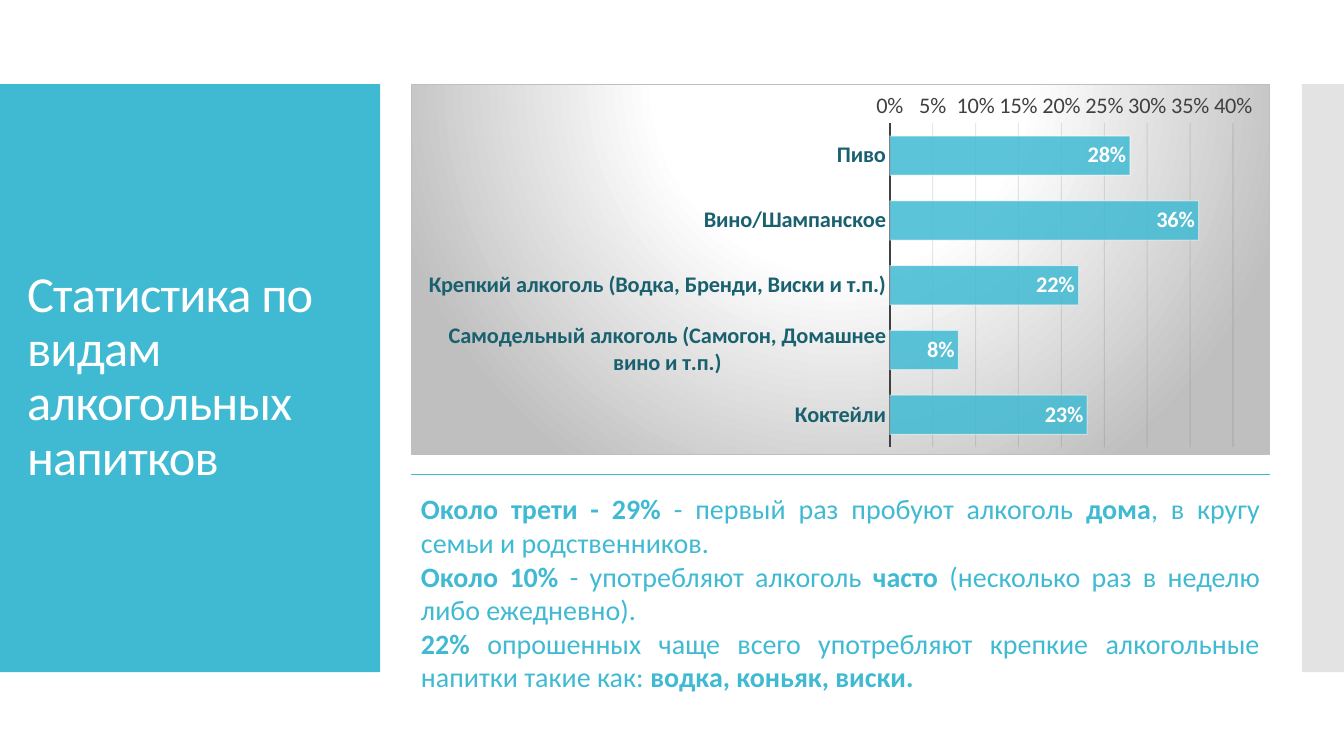
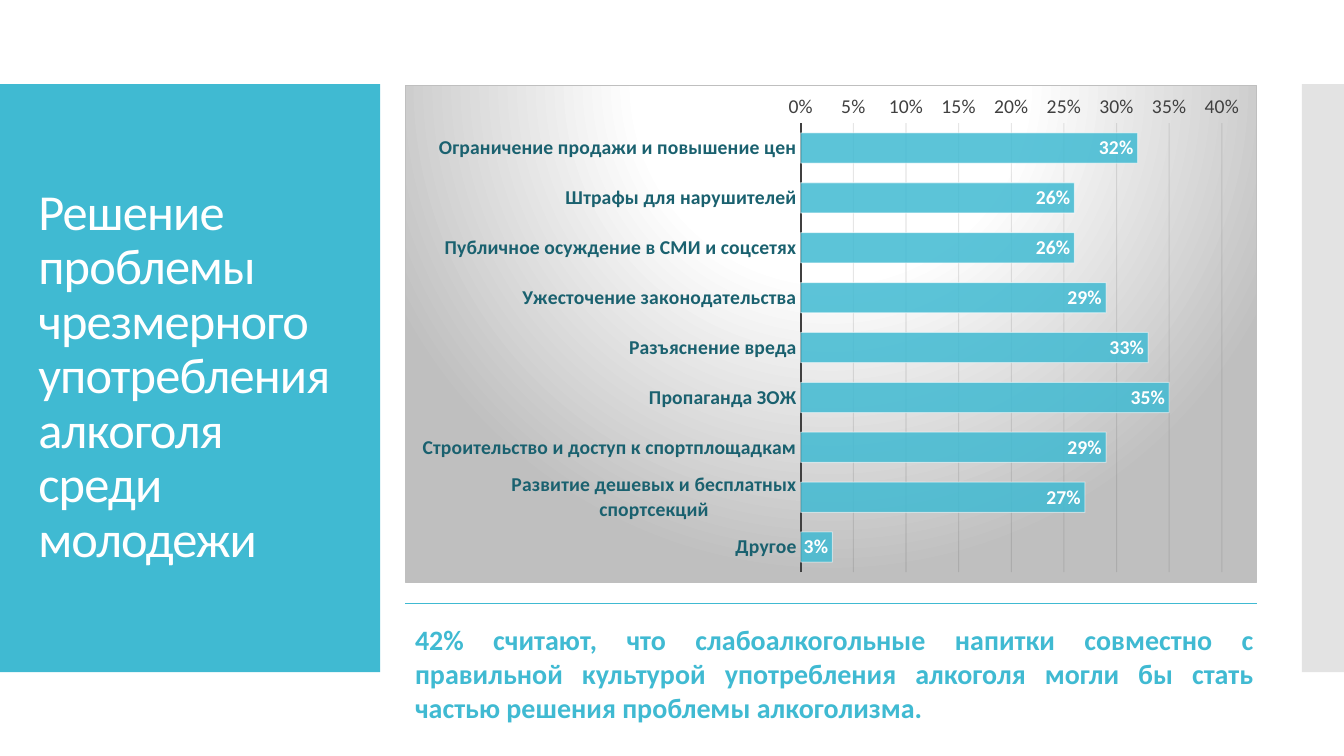
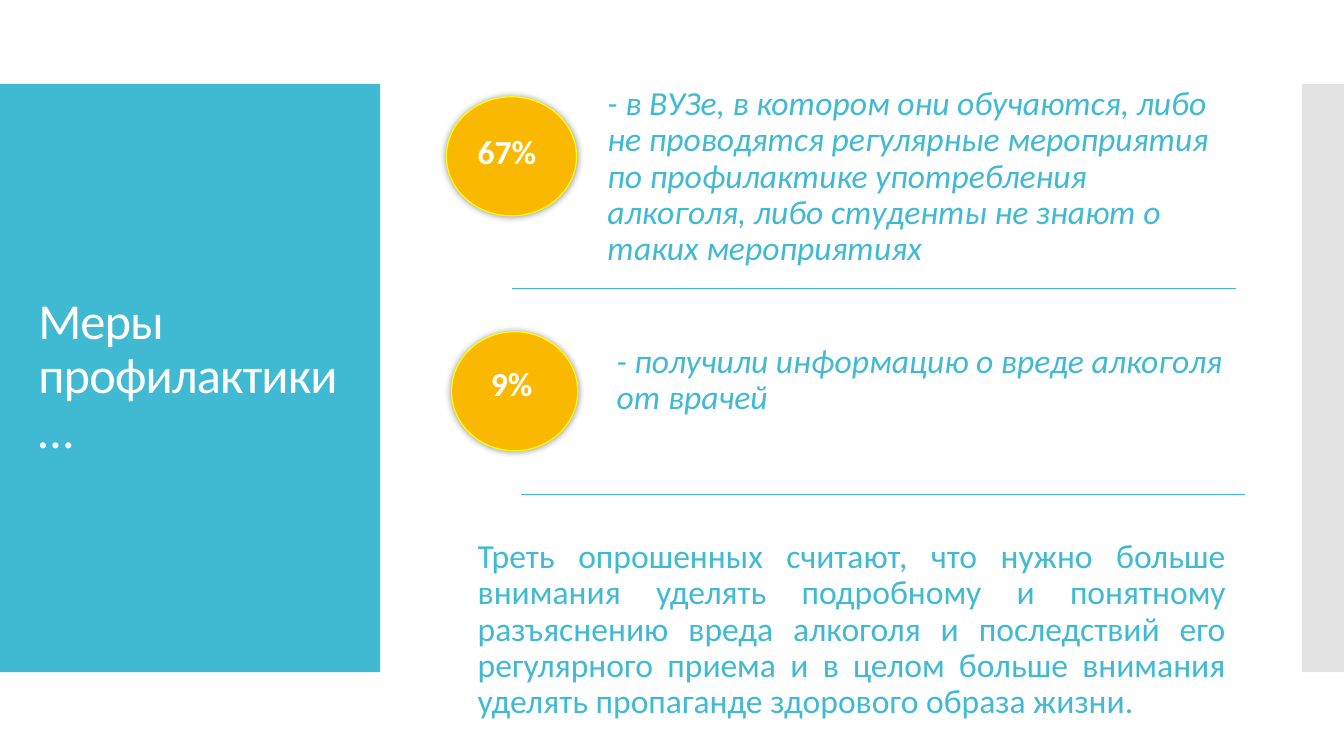
from lxml.etree import SubElement as sub
from pptx import Presentation
from pptx.chart.data import CategoryChartData as Data
from pptx.dml.color import RGBColor as RGB
from pptx.enum.chart import XL_CHART_TYPE as Kind
from pptx.enum.chart import XL_LABEL_POSITION as Spot
from pptx.enum.chart import XL_TICK_MARK as Tick
from pptx.enum.shapes import MSO_CONNECTOR as Link
from pptx.enum.shapes import MSO_SHAPE as Form
from pptx.enum.text import MSO_ANCHOR as Anchor
from pptx.enum.text import MSO_AUTO_SIZE as Fit
from pptx.enum.text import PP_ALIGN as Align
from pptx.oxml import parse_xml
from pptx.oxml.ns import nsdecls, qn
from pptx.util import Cm, Pt

# Shared look
FONT = "Calibri"
TEAL, DARK, GOLD, WHITE = "40BAD2", "1A616F", "FAB900", "FFFFFF"
GREY, SILVER, INK = "404040", "BFBFBF", "0D0D0D"
TOP, TALL = 2.12, 14.82
LOOSE = {"line_spacing": 0.9, "space_before": Pt(12)}
JUST = {"alignment": Align.JUSTIFY}

BACK = f"""<c:spPr {nsdecls("c", "a")}>
<a:gradFill><a:gsLst>
<a:gs pos="0"><a:srgbClr val="{WHITE}"/></a:gs>
<a:gs pos="39000"><a:srgbClr val="{WHITE}"/></a:gs>
<a:gs pos="100000"><a:srgbClr val="{SILVER}"/></a:gs>
</a:gsLst><a:path path="circle">
<a:fillToRect l="50000" t="-80000" r="50000" b="180000"/></a:path></a:gradFill>
<a:ln w="9525"><a:solidFill><a:srgbClr val="{SILVER}"/></a:solidFill></a:ln>
</c:spPr>"""

GLOW = f"""<a:effectLst {nsdecls("a")}>
<a:outerShdw blurRad="63500" dist="0" dir="0" algn="ctr" rotWithShape="0">
<a:srgbClr val="000000"><a:alpha val="40000"/></a:srgbClr></a:outerShdw>
</a:effectLst>"""


# Small helpers
def paint(code):
    return RGB.from_string(code)


def apply(obj, vals):
    for key, val in vals.items():
        setattr(obj, key, val)


def style(font, size, code, **more):
    apply(font, {"name": FONT, "size": Pt(size), **more})
    font.color.rgb = paint(code)


def stroke(line, code, width):
    line.color.rgb = paint(code)
    line.width = Pt(width)


def fade(root, query, part):
    for clr in root.xpath(query):
        sub(clr, qn("a:alpha"), val=str(part * 1000))


# Kinds of element
def form(slide, kind, box, code):
    shape = slide.shapes.add_shape(kind, *map(Cm, box))
    shape.shadow.inherit = False
    shape.fill.solid()
    shape.fill.fore_color.rgb = paint(code)
    shape.line.fill.background()
    return shape


def bands(slide, layout):
    """Draw the side bands and move them to the layout."""
    left = form(slide, Form.RECTANGLE, (0, TOP, 9.58, TALL), TEAL)
    right = form(slide, Form.RECTANGLE, (32.81, TOP, 1.06, TALL), "C8C8C8")
    fade(right.element, "./p:spPr/a:solidFill/a:srgbClr", 50)
    for step, shape in enumerate((left, right)):
        shape.element.xpath("./p:nvSpPr/p:cNvPr")[0].set("id", str(50 + step))
        layout.shapes.element.insert(2 + step, shape.element)


def head(slide, text, left, width):
    shape = slide.shapes.title
    apply(shape, {"left": Cm(left), "top": Cm(3.12),
                  "width": Cm(width), "height": Cm(12.78)})
    frame = shape.text_frame
    frame.text = text
    apply(frame, {"word_wrap": True, "auto_size": Fit.NONE,
                  "vertical_anchor": Anchor.MIDDLE})
    para = frame.paragraphs[0]
    apply(para, {"alignment": Align.LEFT, "line_spacing": 0.9})
    style(para.runs[0].font, 36, WHITE)
    for prop in shape.element.iter(qn("a:rPr")):
        prop.set("spc", "-60")


def note(slide, box, lines, size, code=TEAL, form=None, mid=False, **more):
    """Add a text box; the parts between asterisks are bold."""
    frame = slide.shapes.add_textbox(*map(Cm, box)).text_frame
    frame.word_wrap = True
    frame.vertical_anchor = Anchor.MIDDLE if mid else Anchor.TOP
    for num, text in enumerate(lines):
        para = frame.add_paragraph() if num else frame.paragraphs[0]
        apply(para, form or {})
        for turn, part in enumerate(text.split("*")):
            if part:
                run = para.add_run()
                run.text = part
                style(run.font, size, code, bold=turn % 2 == 1, **more)


def rule(slide, left, top, width):
    line = slide.shapes.add_connector(
        Link.STRAIGHT, Cm(left), Cm(top), Cm(left + width), Cm(top))
    stroke(line.line, TEAL, 0.75)
    sub(line.element.spPr, qn("a:effectLst"))


def disc(slide, box):
    shape = form(slide, Form.OVAL, box, GOLD)
    stroke(shape.line, "FFFF00", 0.85)
    old = shape.element.spPr.find(qn("a:effectLst"))
    old.getparent().replace(old, parse_xml(GLOW))


def bars(slide, box, rows, size):
    data = Data(number_format="0%")
    data.categories = [name for name, _ in rows]
    data.add_series("Series 1", [val / 100 for _, val in rows])
    chart = slide.shapes.add_chart(
        Kind.BAR_CLUSTERED, *map(Cm, box), data).chart
    apply(chart, {"has_title": False, "has_legend": False})
    style(chart.font, size, "000000")
    chart.element.find(qn("c:txPr")).addprevious(parse_xml(BACK))

    # Axes
    cat, val = chart.category_axis, chart.value_axis
    apply(cat, {"reverse_order": True, "major_tick_mark": Tick.NONE})
    stroke(cat.format.line, GREY, 1.5)
    style(cat.tick_labels.font, size, DARK, bold=True)
    apply(val, {"minimum_scale": 0, "maximum_scale": 0.4, "major_unit": 0.05,
                "major_tick_mark": Tick.NONE, "has_major_gridlines": True})
    val.format.line.fill.background()
    stroke(val.major_gridlines.format.line, INK, 0.75)
    style(val.tick_labels.font, size, GREY)
    apply(val.tick_labels, {"number_format": "0%",
                            "number_format_is_linked": False})

    # Bars and their labels
    plot = chart.plots[0]
    apply(plot, {"gap_width": 65, "vary_by_categories": False,
                 "has_data_labels": True})
    look = plot.series[0].format
    look.fill.solid()
    look.fill.fore_color.rgb = paint(TEAL)
    stroke(look.line, WHITE, 0.75)
    tags = plot.data_labels
    apply(tags, {"show_value": True, "position": Spot.INSIDE_END,
                 "number_format": "0%", "number_format_is_linked": False})
    style(tags.font, size, WHITE, bold=True)

    clear = {"c:ser/c:spPr/a:solidFill": 85,
             "c:ser/c:spPr/a:ln/a:solidFill": 50,
             "c:majorGridlines/c:spPr/a:ln/a:solidFill": 10}
    for place, part in clear.items():
        fade(chart.element, f".//{place}/a:srgbClr", part)


# Slides
def drinks(slide):
    head(slide, "Статистика по видам алкогольных напитков", 0.43, 9.14)
    left, width = 10.36, 21.64
    bars(slide, (left, TOP, width, 9.35), [
        ("Пиво", 28),
        ("Вино/Шампанское", 36),
        ("Крепкий алкоголь (Водка, Бренди, Виски и т.п.)", 22),
        ("Самодельный алкоголь (Самогон, Домашнее вино и т.п.)", 8),
        ("Коктейли", 23)], 16)
    note(slide, (left, 12.27, width, 6.25), [
        "*Около трети - 29% *- первый раз пробуют алкоголь *дома*, "
        "в кругу семьи и родственников.",
        "*Около 10% *- употребляют алкоголь *часто* "
        "(несколько раз в неделю либо ежедневно).",
        "*22% *опрошенных чаще всего употребляют крепкие алкогольные "
        "напитки такие как: *водка, коньяк, виски.*"], 20, form=JUST)
    rule(slide, left, 11.96, width)


def answers(slide):
    head(slide, "Решение проблемы чрезмерного употребления алкоголя "
         "среди молодежи", 0.71, 8.18)
    left, width = 10.21, 21.46
    bars(slide, (left, 2.13, width, 12.55), [
        ("Ограничение продажи и повышение цен", 32),
        ("Штрафы для нарушителей", 26),
        ("Публичное осуждение в СМИ и соцсетях", 26),
        ("Ужесточение законодательства", 29),
        ("Разъяснение вреда", 33),
        ("Пропаганда ЗОЖ", 35),
        ("Строительство и доступ к спортплощадкам", 29),
        ("Развитие дешевых и бесплатных спортсекций", 27),
        ("Другое", 3)], 14)
    note(slide, (left, 15.57, 21.64, 3.68), [
        "*42% считают, что слабоалкогольные напитки совместно с правильной "
        "культурой употребления алкоголя могли бы стать частью решения "
        "проблемы алкоголизма.*"], 20, form=JUST)
    rule(slide, left, 15.21, width)


def measures(slide):
    head(slide, "Меры профилактики…", 0.71, 8.71)
    facts = [
        ((11.25, 2.44, 3.28, 3), "*67%*", (11.79, 3.18, 2.29, 1.27),
         "- в ВУЗе, в котором они обучаются, либо не проводятся регулярные "
         "мероприятия по профилактике употребления алкоголя, либо студенты "
         "не знают о таких мероприятиях",
         (15.06, 2.03, 16.08, 4.88), (12.9, 7.26)),
        ((11.38, 8.36, 3.18, 3), "*9%*", (12.12, 9.02, 1.85, 1.27),
         "- получили информацию о вреде алкоголя от врачей",
         (15.29, 8.53, 16.08, 2.11), (13.13, 12.47))]
    for oval, share, spot, text, box, start in facts:
        disc(slide, oval)
        note(slide, spot, [share], 24, WHITE)
        note(slide, box, [text], 24, form=LOOSE, mid=True, italic=True)
        rule(slide, *start, 18.24)
    note(slide, (11.79, 13.44, 19.35, 4.88), [
        "Треть опрошенных считают, что нужно больше внимания уделять "
        "подробному и понятному разъяснению вреда алкоголя и последствий "
        "его регулярного приема и в целом больше внимания уделять "
        "пропаганде здорового образа жизни."], 24,
        form={**LOOSE, **JUST}, mid=True)


def main():
    deck = Presentation()
    apply(deck, {"slide_width": Cm(33.87), "slide_height": Cm(19.05)})
    layout = deck.slide_layouts[5]
    for num, fill in enumerate((drinks, answers, measures)):
        slide = deck.slides.add_slide(layout)
        if num == 0:
            bands(slide, layout)
        fill(slide)
    deck.save("out.pptx")


if __name__ == "__main__":
    main()
